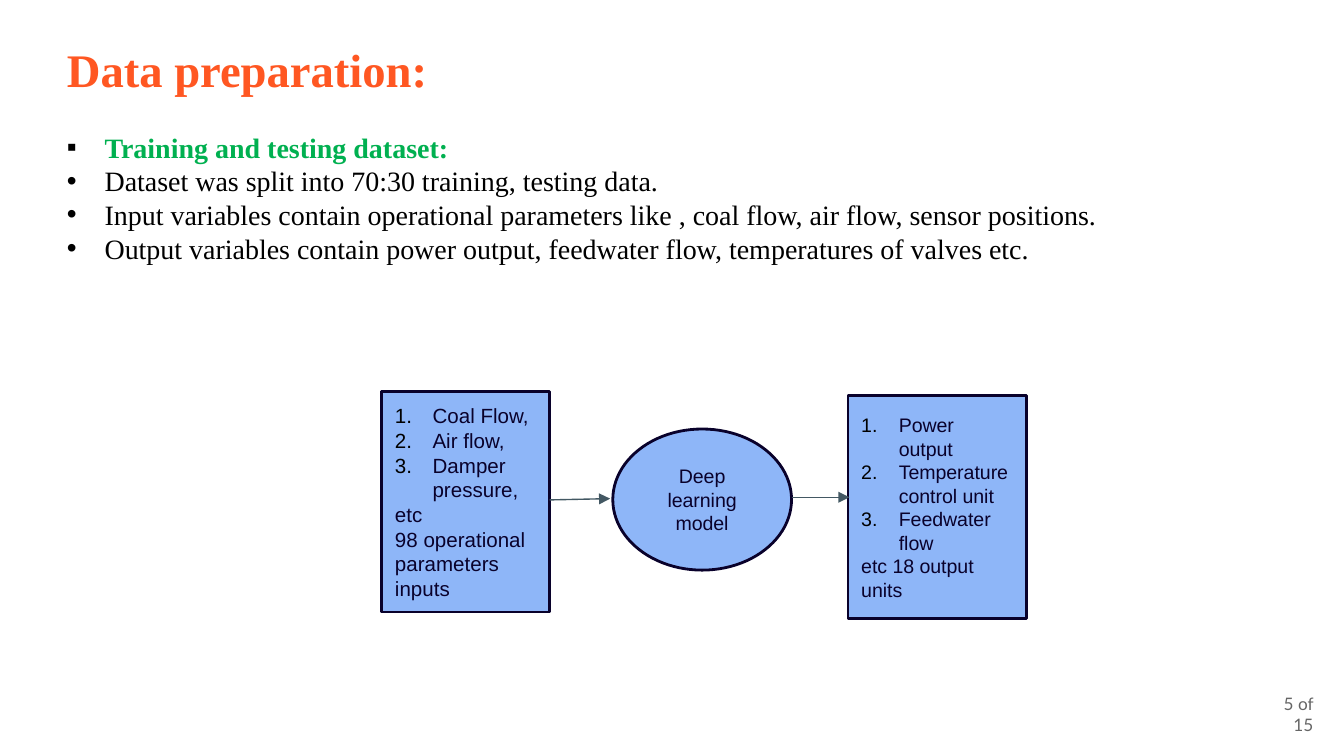
from lxml import etree
from pptx import Presentation
from pptx.dml.color import RGBColor
from pptx.enum.shapes import MSO_CONNECTOR, MSO_SHAPE
from pptx.enum.text import MSO_ANCHOR, MSO_AUTO_SIZE, PP_ALIGN
from pptx.oxml.ns import qn
from pptx.util import Inches, Pt

RECT, OVAL = MSO_SHAPE.RECTANGLE, MSO_SHAPE.OVAL
STRAIGHT = MSO_CONNECTOR.STRAIGHT
MIDDLE = MSO_ANCHOR.MIDDLE
LEFT, CENTER, RIGHT = PP_ALIGN.LEFT, PP_ALIGN.CENTER, PP_ALIGN.RIGHT
GROW = MSO_AUTO_SIZE.SHAPE_TO_FIT_TEXT

# A 16:9 slide
WIDTH = Inches(10)
HEIGHT = WIDTH * 9 // 16
INDENT = Inches(0.28)
SERIF, SANS, FOOTER = "Times New Roman", "Arial", "Lato"
NUMBERED = "1."
COLORS = {
    "title": "FF5722",
    "heading": "00B050",
    "text": "000000",
    "box": "8EB6F8",
    "ink": "09012B",
    "arrow": "435863",
    "page": "666666",
}


def color(name):
    return RGBColor.from_string(COLORS[name])


def place(x, y):
    """Turn percentages of the slide's width and height into lengths."""
    return int(WIDTH * x / 100), int(HEIGHT * y / 100)


def add_marker(p, marker):
    """Give a paragraph a hanging bullet, or a number for NUMBERED."""
    pPr = p._p.get_or_add_pPr()
    pPr.set("marL", str(INDENT))
    pPr.set("indent", str(-INDENT))
    bullet_color = etree.SubElement(pPr, qn("a:buClr"))
    etree.SubElement(bullet_color, qn("a:srgbClr"), val=COLORS["text"])
    etree.SubElement(pPr, qn("a:buFont"), typeface=SANS)
    if marker == NUMBERED:
        etree.SubElement(pPr, qn("a:buAutoNum"), type="arabicPeriod")
    else:
        etree.SubElement(pPr, qn("a:buChar"), char=marker)


def write(p, text, size, font, ink, bold=False, align=LEFT, marker=None):
    p.text = text
    p.alignment = align
    if marker:
        add_marker(p, marker)
    for r in p.runs:
        r.font.size = Pt(size)
        r.font.name = font
        r.font.bold = bold
        r.font.color.rgb = color(ink)


def add_text_box(s, x, y, w, h):
    tf = s.shapes.add_textbox(*place(x, y), *place(w, h)).text_frame
    tf.word_wrap = True
    return tf


def add_node(s, kind, x, y, w, h, size, lines, align=LEFT):
    """Add a model block; lines are (marker, text) pairs."""
    sp = s.shapes.add_shape(kind, *place(x, y), *place(w, h))
    sp.shadow.inherit = False
    sp.fill.solid()
    sp.fill.fore_color.rgb = color("box")
    sp.line.color.rgb = color("ink")
    sp.line.width = Pt(1.5)
    tf = sp.text_frame
    tf.word_wrap = True
    tf.vertical_anchor = MIDDLE
    for i, (marker, text) in enumerate(lines):
        p = tf.add_paragraph() if i else tf.paragraphs[0]
        write(p, text, size, SANS, "ink", align=align, marker=marker)


def add_arrow(s, x1, y1, x2, y2):
    arrow = s.shapes.add_connector(STRAIGHT, *place(x1, y1), *place(x2, y2))
    arrow.line.color.rgb = color("arrow")
    arrow.line.width = Pt(0.75)
    etree.SubElement(arrow.line._get_or_add_ln(), qn("a:tailEnd"), type="triangle")
    etree.SubElement(arrow._element.spPr, qn("a:effectLst"))


def add_body(s):
    tf = add_text_box(s, 4, 4.5, 82.7, 31.64)
    tf.auto_size = GROW
    write(tf.paragraphs[0], "Data preparation:", 25, SERIF, "title", bold=True)
    heading = tf.add_paragraph()
    write(heading, "Training and testing dataset:", 15, SERIF, "heading",
          bold=True, marker="▪")
    heading.space_before = Pt(18)
    for text in (
        "Dataset was split into 70:30 training, testing data.",
        "Input variables contain operational parameters like , coal flow, "
        "air flow, sensor positions.",
        "Output variables contain power output, feedwater flow, "
        "temperatures of valves etc.",
    ):
        write(tf.add_paragraph(), text, 15, SERIF, "text", marker="•")


def add_model_flow(s):
    add_node(s, RECT, 63.1, 52.36, 13.3, 29.51, 10.5, [
        (NUMBERED, "Power output"),
        (NUMBERED, "Temperature control unit"),
        (NUMBERED, "Feedwater flow"),
        (None, "etc 18 output units"),
    ])
    add_node(s, RECT, 28.4, 51.82, 12.5, 29.16, 11, [
        (NUMBERED, "Coal Flow,"),
        (NUMBERED, "Air flow,"),
        (NUMBERED, "Damper pressure,"),
        (None, "etc"),
        (None, "98 operational parameters inputs"),
    ])
    add_node(s, OVAL, 45.6, 56.75, 13.3, 18.67, 10.5,
             [(None, "Deep learning model")], align=CENTER)
    # The arrows meet the blocks a little above their middles
    add_arrow(s, 40.9, 66.13, 45.4, 65.96)
    add_arrow(s, 58.9, 65.78, 63.2, 65.78)


def add_page_number(s):
    tf = add_text_box(s, 92.8, 90.67, 5.9, 7.64)
    tf.vertical_anchor = MIDDLE
    tf.margin_left = tf.margin_right = Inches(0.1)
    tf.margin_top = tf.margin_bottom = Inches(0.1)
    write(tf.paragraphs[0], "5 of 15", 9.2, FOOTER, "page", align=RIGHT)


def main():
    prs = Presentation()
    prs.slide_width, prs.slide_height = WIDTH, HEIGHT
    s = prs.slides.add_slide(prs.slide_layouts[6])
    add_body(s)
    add_model_flow(s)
    add_page_number(s)
    prs.save("out.pptx")


if __name__ == "__main__":
    main()
